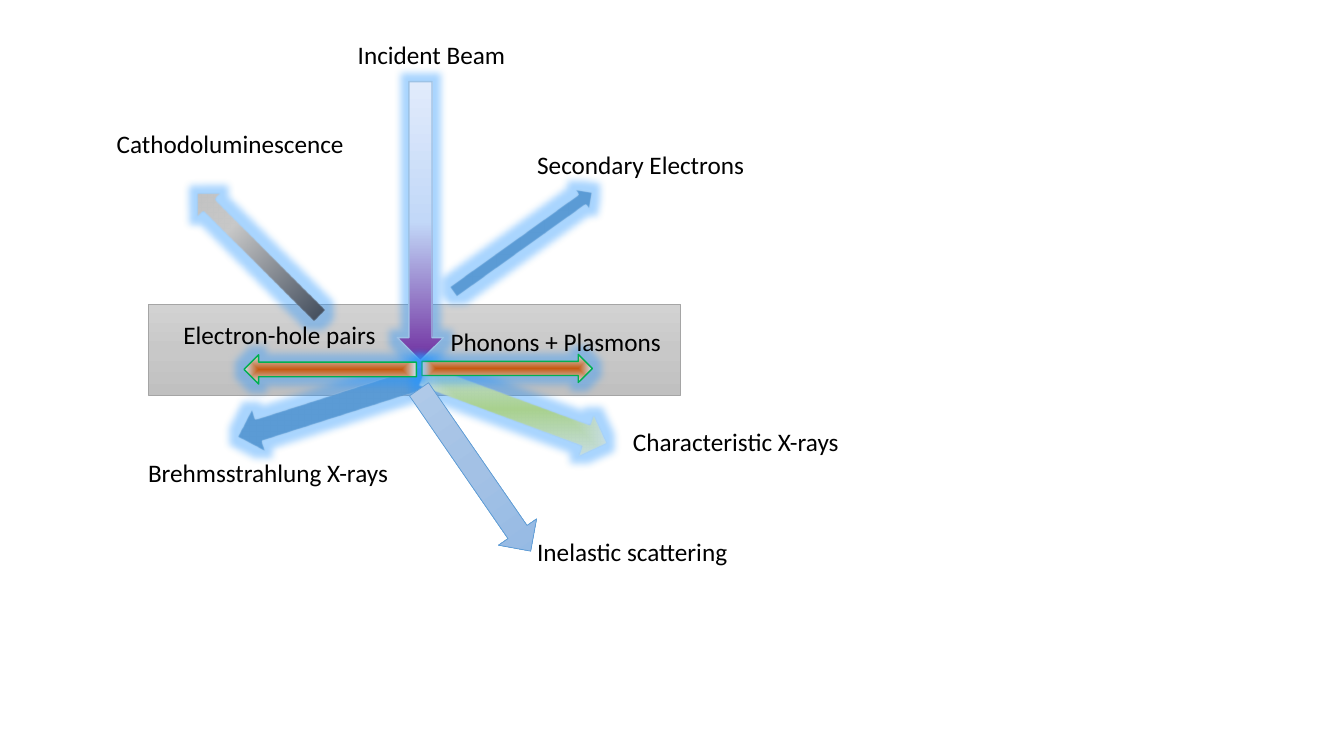
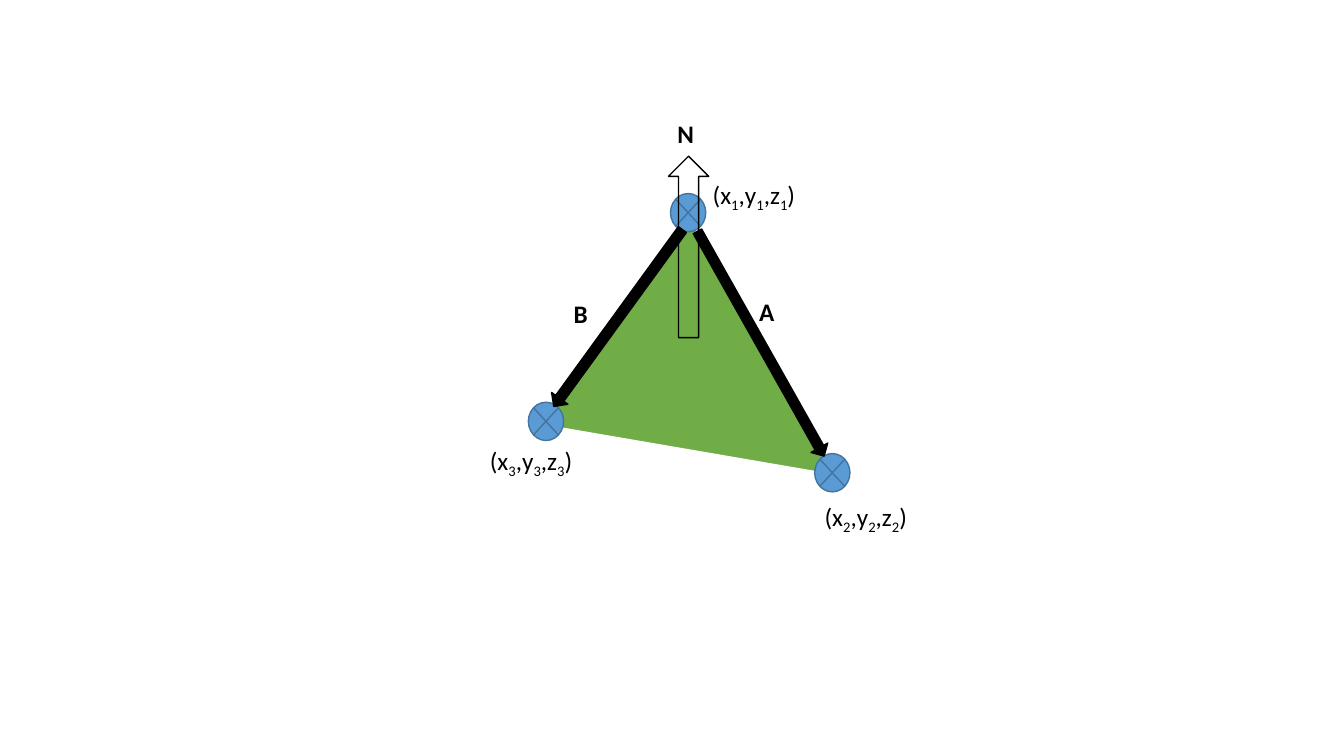
"""Build two physics diagrams: beam interactions and a triangle normal."""
import dataclasses

import pptx
import pptx.dml.color
import pptx.enum.shapes
import pptx.enum.text
import pptx.oxml
import pptx.oxml.ns
import pptx.util

Inches = pptx.util.Inches
Shapes = pptx.enum.shapes.MSO_SHAPE


@dataclasses.dataclass(frozen=True)
class Theme:
    """Colours, type and line sizes shared by the slides."""
    font: str = "Calibri"
    text_size: int = 18
    subscript: int = -25000
    black: str = "000000"
    white: str = "FFFFFF"
    blue: str = "5B9BD5"
    pale_blue: str = "9DC3E6"
    node_line: str = "43739E"
    green: str = "70AD47"
    ray_line: str = "00B050"
    gray_line: str = "A5A5A5"
    glow: str = "2896FF"
    glow_alpha: int = 40
    glow_radius: int = 11
    soft_radius: int = 1
    slab: tuple = ((0, "D2D2D2"), (50, "C8C8C8"), (100, "C0C0C0"))
    beam: tuple = ((0, "7030A0"), (50, "C2D8F8"), (100, "E1EBFB"))
    light: tuple = ((0, "333F50"), (68, "C8C8C8"), (100, "C0C0C0"))
    scatter: tuple = ((0, "B1CBE9"), (50, "A3C1E5"), (100, "93B9E4"))
    xray: tuple = ((0, "A9D18E"), (100, "CEE1F2"))
    carrier: tuple = ((0, "C55A11"), (100, "CEE1F2"))


class Diagram:
    """Draws styled elements on the current slide."""

    def __init__(self, presentation, theme):
        """Keep the presentation and its style."""
        self.presentation = presentation
        self.theme = theme
        self.slide = None

    def new_slide(self):
        """Start a blank slide."""
        self.slide = self.presentation.slides.add_slide(self.presentation.slide_layouts[6])

    def shape(self, kind, box, fill, line, weight=1, rotation=0, angle=90):
        """Add a preset shape; a tuple fill is a gradient, no angle means from the centre."""
        shape = self.slide.shapes.add_shape(kind, *map(Inches, box))
        shape.rotation = rotation
        shape.shadow.inherit = False
        if isinstance(fill, str):
            shape.fill.solid()
            shape.fill.fore_color.rgb = pptx.dml.color.RGBColor.from_string(fill)
        else:
            shape.fill.background()
        if isinstance(fill, tuple):
            self.gradient(shape, fill, angle)
        shape.line.color.rgb = pptx.dml.color.RGBColor.from_string(line)
        shape.line.width = pptx.util.Pt(weight)
        return shape

    def gradient(self, shape, stops, angle):
        """Replace the empty fill of a shape with a gradient."""
        colours = "".join(
            f'<a:gs pos="{position * 1000}"><a:srgbClr val="{colour}"/></a:gs>'
            for position, colour in stops)
        if angle is None:
            course = ('<a:path path="shape"><a:fillToRect l="50000" t="50000" '
                      'r="50000" b="50000"/></a:path>')
        else:
            course = f'<a:lin ang="{angle * 60000}" scaled="0"/>'
        properties = shape.element.spPr
        empty_fill = properties.find(pptx.oxml.ns.qn("a:noFill"))
        properties.replace(empty_fill, pptx.oxml.parse_xml(
            f'<a:gradFill {pptx.oxml.ns.nsdecls("a")} rotWithShape="1">'
            f'<a:gsLst>{colours}</a:gsLst>{course}</a:gradFill>'))

    def arrow(self, box, fill, line, flip=False, glow=False, soft=False, **style):
        """Add a block arrow, optionally flipped, glowing or soft-edged."""
        shape = self.shape(Shapes.DOWN_ARROW, box, fill, line, **style)
        properties = shape.element.spPr
        if flip:
            properties.find(pptx.oxml.ns.qn("a:xfrm")).set("flipV", "1")
        effects = properties.find(pptx.oxml.ns.qn("a:effectLst"))
        namespace = pptx.oxml.ns.nsdecls("a")
        if glow:
            effects.append(pptx.oxml.parse_xml(
                f'<a:glow {namespace} rad="{pptx.util.Pt(self.theme.glow_radius)}">'
                f'<a:srgbClr val="{self.theme.glow}">'
                f'<a:alpha val="{self.theme.glow_alpha * 1000}"/></a:srgbClr></a:glow>'))
        if soft:
            effects.append(pptx.oxml.parse_xml(
                f'<a:softEdge {namespace} rad="{pptx.util.Pt(self.theme.soft_radius)}"/>'))

    def label(self, left, top, width, runs, bold=False):
        """Add a text box from pairs of text and subscript flag."""
        box = self.slide.shapes.add_textbox(*map(Inches, (left, top, width, 0.4)))
        frame = box.text_frame
        frame.word_wrap = True
        frame.auto_size = pptx.enum.text.MSO_AUTO_SIZE.SHAPE_TO_FIT_TEXT
        for text, subscript in runs:
            run = frame.paragraphs[0].add_run()
            run.text = text
            run.font.name = self.theme.font
            run.font.size = pptx.util.Pt(self.theme.text_size)
            run.font.bold = bold
            run.font.color.rgb = pptx.dml.color.RGBColor.from_string(self.theme.black)
            if subscript:
                run.font._element.set("baseline", str(self.theme.subscript))

    def name(self, left, top, text):
        """Add a plain label for a signal."""
        self.label(left, top, 2.73, [(text, False)])

    def vector_name(self, left, top, text):
        """Add a bold label for a vector."""
        self.label(left, top, 1.06, [(text, False)], bold=True)

    def coordinates(self, left, top, index):
        """Add the coordinate label of a numbered vertex."""
        runs = []
        for text in ("(x", ",y", ",z"):
            runs += [(text, False), (str(index), True)]
        self.label(left, top, 1.06, runs + [(")", False)])


def draw_interactions(diagram):
    """Draw the signals that leave a sample under a beam."""
    theme = diagram.theme
    diagram.new_slide()
    diagram.shape(Shapes.RECTANGLE, (1.47, 3.02, 5.28, 0.9), theme.slab, theme.gray_line, 0.5)
    diagram.arrow((3.94, 0.81, 0.46, 2.77), theme.beam, theme.pale_blue, glow=True, angle=270)
    for box, rotation, fill in (
            ((5.05, 1.55, 0.26, 1.69), 234.4, theme.blue),
            ((3.05, 3.06, 0.46, 1.95), 72.5, theme.blue),
            ((4.87, 3.08, 0.46, 1.95), 290.2, theme.xray)):
        diagram.arrow(box, fill, theme.pale_blue, glow=True, soft=True,
                      rotation=rotation, angle=None)
    diagram.arrow((4.89, 2.81, 0.28, 1.69), theme.carrier, theme.ray_line,
                  glow=True, rotation=270, angle=None)
    for left, top, text in (
            (3.45, 0.34, "Incident Beam"),
            (5.23, 1.43, "Secondary Electrons"),
            (6.18, 4.18, "Characteristic X-rays"),
            (4.37, 3.19, "Phonons + Plasmons"),
            (1.37, 4.49, "Brehmsstrahlung X-rays")):
        diagram.name(left, top, text)
    diagram.arrow((2.39, 1.67, 0.35, 1.72), theme.light, theme.pale_blue,
                  flip=True, glow=True, soft=True, rotation=314.9)
    diagram.name(1.06, 1.22, "Cathodoluminescence")
    diagram.name(1.72, 3.12, "Electron-hole pairs")
    diagram.arrow((3.13, 2.81, 0.29, 1.71), theme.carrier, theme.ray_line,
                  flip=True, glow=True, rotation=270, angle=None)
    diagram.arrow((4.48, 3.69, 0.46, 1.95), theme.scatter, theme.blue,
                  weight=0.5, rotation=325.4)
    diagram.name(5.23, 5.27, "Inelastic scattering")


def draw_normal(diagram):
    """Draw a triangle with two edge vectors and its normal."""
    theme = diagram.theme
    diagram.new_slide()
    diagram.shape(Shapes.ISOSCELES_TRIANGLE, (5.9, 2.59, 2.56, 2.7), theme.green,
                  theme.white, 1.5, rotation=125.1)
    for left, top in ((6.65, 1.92), (8.08, 4.5), (5.24, 3.99)):
        diagram.shape(Shapes.FLOWCHART_SUMMING_JUNCTION, (left, top, 0.35, 0.38),
                      theme.blue, theme.node_line)
    for index, (left, top) in enumerate(((6.97, 1.73), (8.08, 4.92), (4.76, 4.37)), 1):
        diagram.coordinates(left, top, index)
    for box, rotation, fill in (
            ((7.45, 2.13, 0.19, 2.56), 150.6, theme.black),
            ((6.03, 2.07, 0.2, 2.17), 216, theme.black),
            ((6.63, 1.55, 0.4, 1.8), 0, None)):
        diagram.arrow(box, fill, theme.black, flip=True, rotation=rotation)
    for left, top, text in ((7.43, 2.89, "A"), (5.59, 2.91, "B"), (6.62, 1.12, "N")):
        diagram.vector_name(left, top, text)


def main():
    """Build and save the presentation."""
    presentation = pptx.Presentation()
    presentation.slide_width = Inches(13.33)
    presentation.slide_height = Inches(7.5)
    diagram = Diagram(presentation, Theme())
    draw_interactions(diagram)
    draw_normal(diagram)
    presentation.save("out.pptx")


if __name__ == "__main__":
    main()
